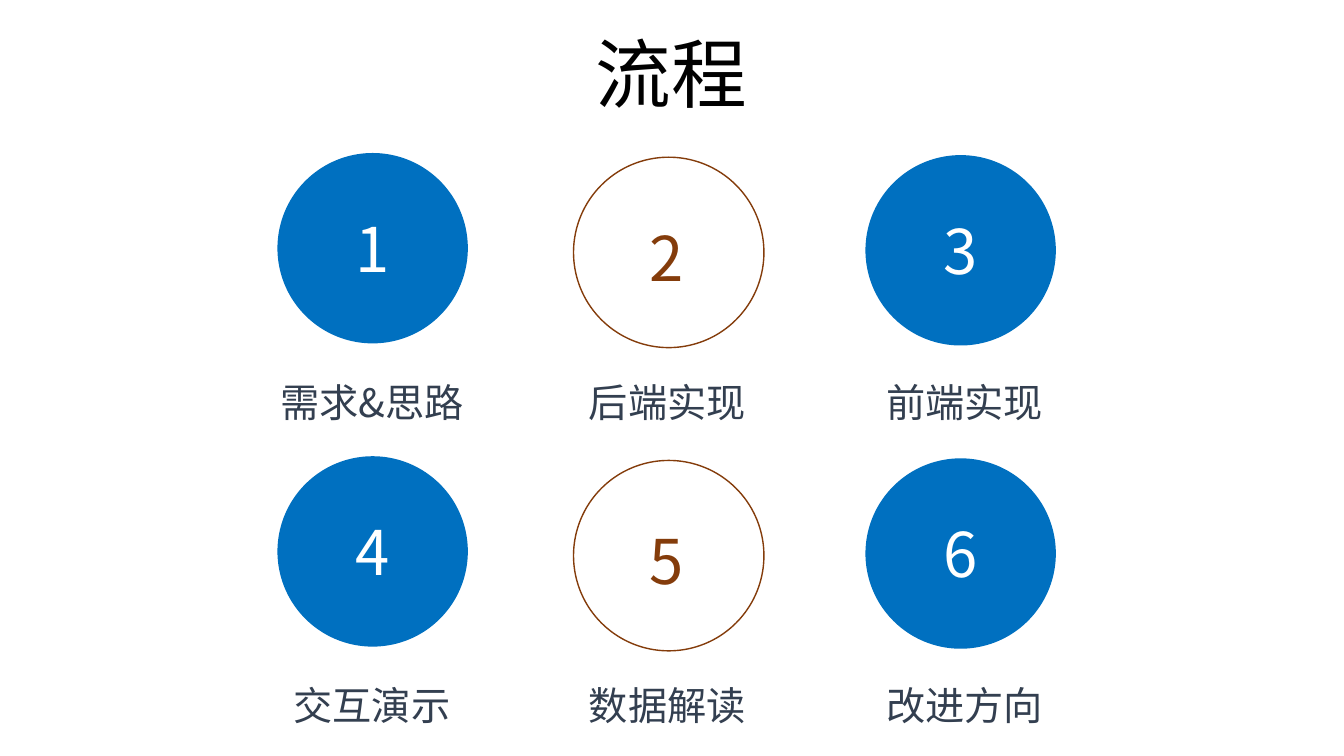
from lxml.etree import SubElement
from pptx import Presentation
from pptx.dml.color import RGBColor
from pptx.enum.shapes import MSO_SHAPE
from pptx.enum.text import MSO_ANCHOR, MSO_AUTO_SIZE, PP_ALIGN
from pptx.oxml.ns import qn
from pptx.util import Pt

TITLE = "流程"
STEPS = ["需求&思路", "后端实现", "前端实现", "交互演示", "数据解读", "改进方向"]
FONT = "Noto Sans CJK SC"
COLORS = {"blue": "0070C0", "brown": "843C0B", "slate": "333F50",
          "white": "FFFFFF", "black": "000000"}
COLUMNS = [
    {"left": 198.2, "top": 109.3, "number": (47.5, 37.4), "label": (186.5, 158.4), "filled": True},
    {"left": 409.7, "top": 112.3, "number": (46, 41), "label": (384.5, 184.3), "filled": False},
    {"left": 618.2, "top": 110.8, "number": (47.5, 37.6), "label": (596.9, 184.3), "filled": True},
]
DIAMETER = 136
ROW_PITCH = 216.6
LABEL_TOP = 266.6
NUMBER_SIZE = (40.3, 60.5)


def color(name):
    return RGBColor.from_string(COLORS[name])


def write(box, text, size, ink, align=PP_ALIGN.CENTER, wrap=True):
    frame = box.text_frame
    frame.auto_size = MSO_AUTO_SIZE.NONE
    frame.word_wrap = wrap
    frame.vertical_anchor = MSO_ANCHOR.MIDDLE
    para = frame.paragraphs[0]
    para.alignment = align
    span = para.add_run()
    span.text = text
    span.font.size = Pt(size)
    span.font.name = FONT
    span.font.color.rgb = color(ink)
    SubElement(span.font._element, qn("a:ea"), typeface=FONT)


def add_badge(page, number, column, top):
    group = page.shapes.add_group_shape()
    circle = group.shapes.add_shape(
        MSO_SHAPE.OVAL, Pt(column["left"]), Pt(top), Pt(DIAMETER), Pt(DIAMETER))
    circle.shadow.inherit = False
    if column["filled"]:
        circle.fill.solid()
        circle.fill.fore_color.rgb = color("blue")
        circle.line.fill.background()
    else:
        circle.fill.background()
        circle.line.color.rgb = color("brown")
        circle.line.width = Pt(1)
    across, down = column["number"]
    width, height = NUMBER_SIZE
    box = group.shapes.add_textbox(
        Pt(column["left"] + across), Pt(top + down), Pt(width), Pt(height))
    write(box, str(number), 44, "white" if column["filled"] else "brown", wrap=False)


deck = Presentation()
deck.slide_width, deck.slide_height = Pt(960), Pt(540)
page = deck.slides.add_slide(deck.slide_layouts[5])

title = page.shapes.title
title.left, title.top, title.width, title.height = Pt(418.3), Pt(15.1), Pt(127.4), Pt(72.7)
write(title, TITLE, 54, "black", PP_ALIGN.LEFT)

for index, step in enumerate(STEPS):
    row, place = divmod(index, len(COLUMNS))
    column = COLUMNS[place]
    add_badge(page, index + 1, column, column["top"] + row * ROW_PITCH)
    left, width = column["label"]
    label = page.shapes.add_textbox(
        Pt(left), Pt(LABEL_TOP + row * ROW_PITCH), Pt(width), Pt(41))
    label.text_frame.margin_left = label.text_frame.margin_right = Pt(0)
    write(label, step, 28, "slate")

deck.save("out.pptx")
